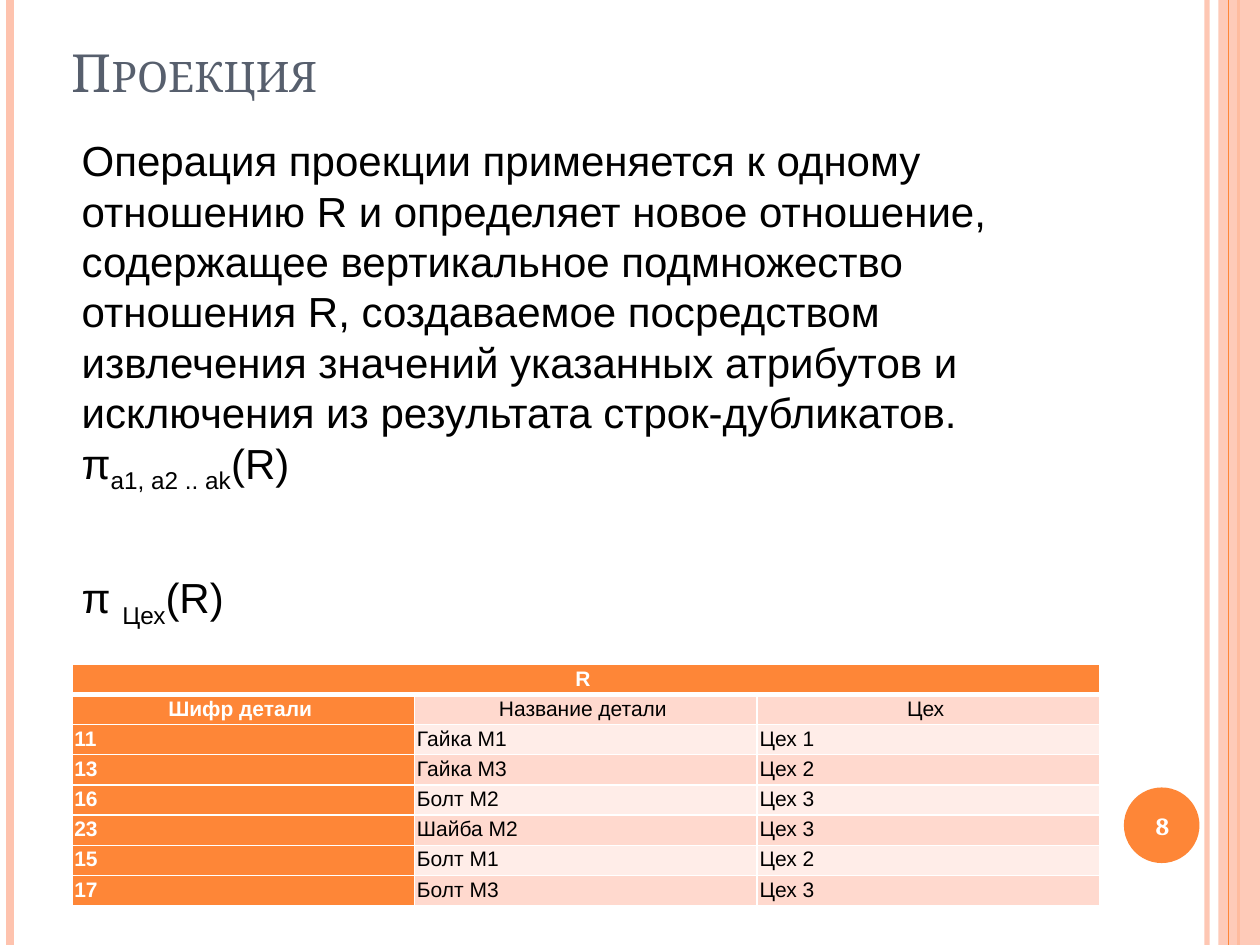
from dataclasses import dataclass

from lxml.etree import SubElement
from pptx import Presentation
from pptx.dml.color import RGBColor
from pptx.enum.shapes import MSO_CONNECTOR as CONN, MSO_SHAPE as SHAPE
from pptx.enum.text import MSO_ANCHOR as ANCHOR, PP_ALIGN as ALIGN
from pptx.oxml.ns import qn
from pptx.util import Inches, Pt

ORANGE, PEACH, WHITE, BLACK = "FE8637", "FEC3AE", "FFFFFF", "000000"
BANDS = ("FFD9CE", "FFEDE8")
DEFINITION = (
    "Операция проекции применяется к одному отношению R и определяет новое отношение, "
    "содержащее вертикальное подмножество отношения R, создаваемое посредством извлечения "
    "значений указанных атрибутов и исключения из результата строк-дубликатов."
)
ROWS = [
    ("R ", "", ""),
    ("Шифр детали ", "Название детали ", "Цех "),
    ("11", "Гайка M1", "Цех 1"),
    ("13", "Гайка М3", "Цех 2"),
    ("16", "Болт М2", "Цех 3"),
    ("23", "Шайба М2", "Цех 3"),
    ("15", "Болт М1", "Цех 2"),
    ("17", "Болт М3", "Цех 3"),
]


@dataclass
class Rule:
    x: float
    color: str
    width: float
    alpha: int = 100


@dataclass
class Style:
    size: float
    font: str = "Arial"
    color: str = BLACK
    bold: bool = False


def rgb(value: str) -> RGBColor:
    return RGBColor.from_string(value)


def set_alpha(fill, percent: int) -> None:
    clr = fill._xPr.find(".//" + qn("a:srgbClr"))
    SubElement(clr, qn("a:alpha")).set("val", str(percent * 1000))


def style_run(r, style: Style) -> None:
    r.font.size, r.font.name, r.font.bold = Pt(style.size), style.font, style.bold
    r.font.color.rgb = rgb(style.color)


def add_rule(s, rule: Rule) -> None:
    x = Inches(rule.x)
    line = s.shapes.add_connector(CONN.STRAIGHT, x, 0, x, Inches(7.5))
    line.line.color.rgb = rgb(rule.color)
    line.line.width = Pt(rule.width)
    if rule.alpha < 100:
        set_alpha(line.line.fill, rule.alpha)
    SubElement(line._element.spPr, qn("a:effectLst"))


def add_block(s, shape, box: tuple, color: str, alpha: int = 100) -> None:
    sp = s.shapes.add_shape(shape, *map(Inches, box))
    sp.shadow.inherit = False
    sp.fill.solid()
    sp.fill.fore_color.rgb = rgb(color)
    sp.line.fill.background()
    if alpha < 100:
        set_alpha(sp.fill, alpha)


def add_text(s, box: tuple, paragraphs: list, style: Style,
             anchor=ANCHOR.TOP, align=ALIGN.LEFT):
    """Each paragraph lists its runs; every second run is a subscript."""
    tf = s.shapes.add_textbox(*map(Inches, box)).text_frame
    tf.word_wrap = True
    tf.vertical_anchor = anchor
    for i, runs in enumerate(paragraphs):
        p = tf.add_paragraph() if i else tf.paragraphs[0]
        p.alignment = align
        for j, text in enumerate(runs):
            r = p.add_run()
            r.text = text
            style_run(r, style)
            if j % 2:
                r.font._element.set("baseline", "-25000")
    return tf


def style_cell(cell, row: int, col: int) -> None:
    strong = row == 0 or col == 0
    cell.margin_left = cell.margin_right = Inches(0.02)
    cell.margin_top = cell.margin_bottom = Inches(0.02)
    cell.vertical_anchor = ANCHOR.MIDDLE if row < 2 else ANCHOR.TOP
    p = cell.text_frame.paragraphs[0]
    p.alignment = ALIGN.CENTER if row < 2 else ALIGN.LEFT
    p.font.size = Pt(12)
    for r in p.runs:
        style_run(r, Style(12, color=WHITE if strong else BLACK, bold=strong))
    tc_pr = cell._tc.get_or_add_tcPr()
    for side in "LRTB":
        heavy = (row, side) in ((0, "B"), (1, "T"))
        ln = SubElement(tc_pr, qn(f"a:ln{side}"), w=str(Pt(3 if heavy else 1)))
        SubElement(SubElement(ln, qn("a:solidFill")), qn("a:srgbClr"), val=WHITE)
    cell.fill.solid()
    cell.fill.fore_color.rgb = rgb(ORANGE if strong else BANDS[(row + 1) % 2])


def add_parts_table(s) -> None:
    box = map(Inches, (0.57, 5.27, 8.16, 0.23 * len(ROWS)))
    table = s.shapes.add_table(len(ROWS), 3, *box).table
    for i, values in enumerate(ROWS):
        for j, value in enumerate(values):
            cell = table.cell(i, j)
            cell.text_frame.text = value
            style_cell(cell, i, j)
    table.cell(0, 0).merge(table.cell(0, 2))


def main() -> None:
    prs = Presentation()
    prs.slide_width, prs.slide_height = Inches(10), Inches(7.5)
    s = prs.slides.add_slide(prs.slide_layouts[6])
    for rule in (Rule(9.58, PEACH, 3, 93), Rule(0.08, PEACH, 4.5), Rule(9.83, ORANGE, 1.5)):
        add_rule(s, rule)
    add_block(s, SHAPE.RECTANGLE, (9.67, 0, 0.33, 7.5), PEACH, 87)
    add_rule(s, Rule(9.75, ORANGE, 0.75))
    add_block(s, SHAPE.OVAL, (8.92, 6.25, 0.6, 0.6), ORANGE)

    title = add_text(s, (0.47, 0, 8.17, 0.87), [["Проекция"]],
                     Style(30, "Cambria", "575F6D"), ANCHOR.BOTTOM)
    title.paragraphs[0].runs[0].font._element.set("cap", "small")
    add_text(s, (8.89, 6.27, 0.67, 0.57), [["8"]],
             Style(14, "Cambria", WHITE, True), ANCHOR.MIDDLE, ALIGN.CENTER)
    body = Style(24)
    add_text(s, (0.55, 1.02, 8.15, 2.97),
             [[DEFINITION], ["π", "a1, a2 .. ak", "(R)"]], body)
    add_text(s, (0.55, 4.49, 8.15, 0.79), [["π ", "Цех", "(R)"]], body)
    add_parts_table(s)


    prs.save("out.pptx")


if __name__ == "__main__":
    main()
